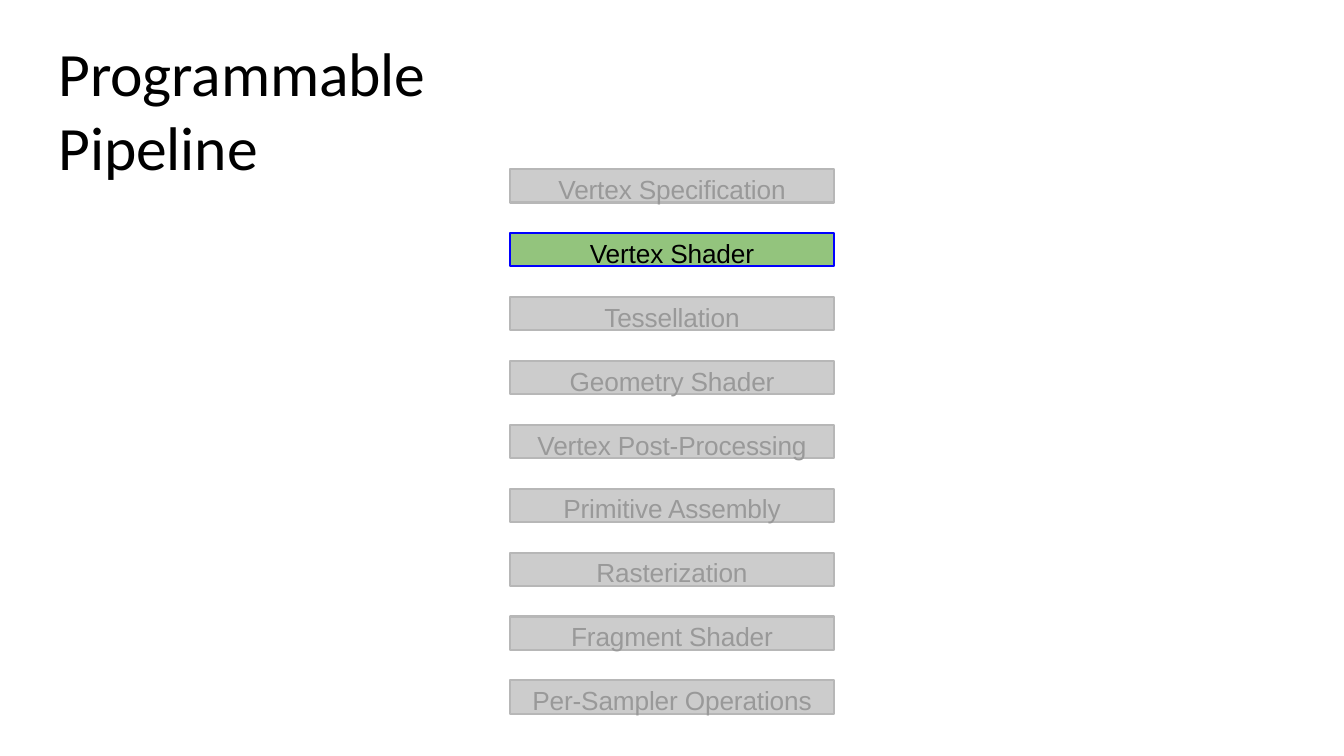
from dataclasses import dataclass

from pptx import Presentation
from pptx.dml.color import RGBColor
from pptx.enum.shapes import MSO_SHAPE as Preset
from pptx.enum.text import MSO_ANCHOR as Anchor, PP_ALIGN as Align
from pptx.shapes.autoshape import Shape
from pptx.slide import Slide
from pptx.util import Inches, Pt

STAGE_LEFT, STAGE_WIDTH, STAGE_HEIGHT = 5.06, 3.21, 0.33
FIRST_TOP, LAST_TOP = 1.68, 6.75


@dataclass(frozen=True)
class Look:
    fill: str
    line: str
    text: str


MUTED = Look("CCCCCC", "B7B7B7", "999999")
ACTIVE = Look("93C47D", "0000FF", "000000")

ACTIVE_STAGE = "Vertex Shader"
STAGES = [
    "Vertex Specification",
    ACTIVE_STAGE,
    "Tessellation",
    "Geometry Shader",
    "Vertex Post-Processing",
    "Primitive Assembly",
    "Rasterization",
    "Fragment Shader",
    "Per-Sampler Operations",
]


def rgb(value: str) -> RGBColor:
    return RGBColor.from_string(value)


def write(box: Shape, words: str, font: str, size: float, color: str,
          align: Align, anchor: Anchor, left: float = 0) -> None:
    frame = box.text_frame
    frame.text = words
    frame.word_wrap = True
    frame.vertical_anchor = anchor
    frame.margin_left = Inches(left)
    frame.margin_top = Inches(0.04)
    frame.margin_right = frame.margin_bottom = 0
    line = frame.paragraphs[0]
    line.alignment = align
    run = line.runs[0]
    run.font.name = font
    run.font.size = Pt(size)
    run.font.color.rgb = rgb(color)
    run._r.get_or_add_rPr().set("spc", "-10")  # letter spacing, 1/100 pt


def add_title(slide: Slide, words: str) -> None:
    title = slide.shapes.add_textbox(Inches(0.56), Inches(0.31), Inches(5.41), Inches(1.5))
    write(title, words, "Calibri", 44, "000000", Align.LEFT, Anchor.MIDDLE, left=0.02)


def add_stage(slide: Slide, name: str, top: float, look: Look) -> None:
    stage = slide.shapes.add_shape(
        Preset.RECTANGLE, Inches(STAGE_LEFT), Inches(top), Inches(STAGE_WIDTH), Inches(STAGE_HEIGHT)
    )
    stage.shadow.inherit = False
    stage.fill.solid()
    stage.fill.fore_color.rgb = rgb(look.fill)
    stage.line.color.rgb = rgb(look.line)
    stage.line.width = Pt(1.5)
    write(stage, name, "Arial", 18.7, look.text, Align.CENTER, Anchor.TOP)


def main() -> None:
    deck = Presentation()
    deck.slide_width, deck.slide_height = Inches(13.33), Inches(7.5)
    slide = deck.slides.add_slide(deck.slide_layouts[6])

    add_title(slide, "Programmable Pipeline")
    pitch = (LAST_TOP - FIRST_TOP) / (len(STAGES) - 1)
    for row, name in enumerate(STAGES):
        look = ACTIVE if name == ACTIVE_STAGE else MUTED
        add_stage(slide, name, FIRST_TOP + row * pitch, look)

    deck.save("out.pptx")


if __name__ == "__main__":
    main()
